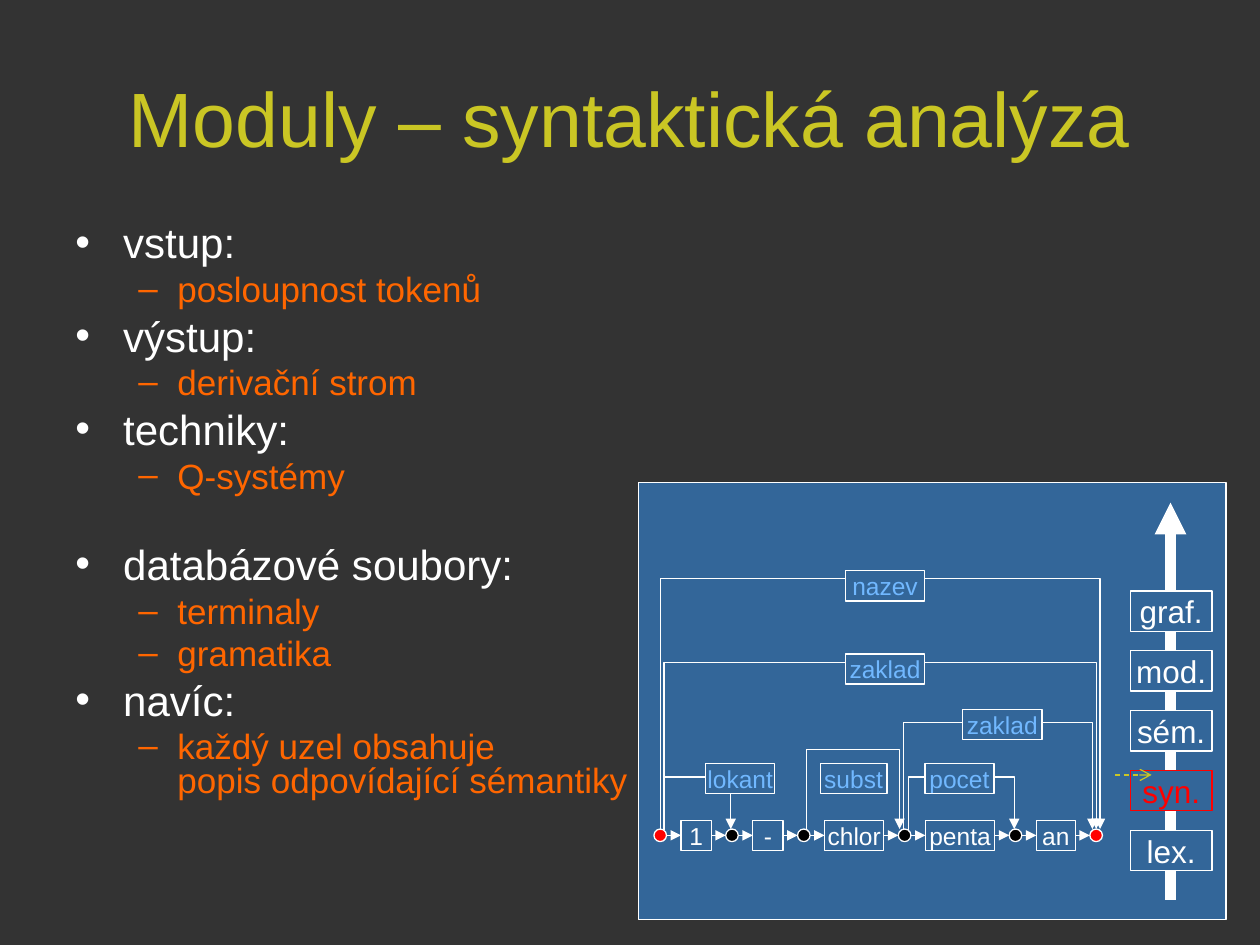
import lxml.etree
import pptx
import pptx.dml.color
import pptx.enum.dml
import pptx.enum.shapes
import pptx.enum.text
import pptx.oxml.ns
import pptx.util

RECT = pptx.enum.shapes.MSO_SHAPE.RECTANGLE
OVAL = pptx.enum.shapes.MSO_SHAPE.OVAL
STRAIGHT = pptx.enum.shapes.MSO_CONNECTOR.STRAIGHT
ELBOW = pptx.enum.shapes.MSO_CONNECTOR.ELBOW
PP_ALIGN = pptx.enum.text.PP_ALIGN
MIDDLE = pptx.enum.text.MSO_ANCHOR.MIDDLE

COLORS = {
    "back": "333333", "title": "CAC624", "panel": "336699", "white": "FFFFFF",
    "orange": "FF6600", "red": "FF0000", "black": "000000", "rule": "71B8FF",
}
LEVELS = {
    0: {"size": 24, "color": "white", "bullet": "•", "left": 0.38, "hang": 0.38, "before": 6},
    1: {"size": 20, "color": "orange", "bullet": "–", "left": 0.81, "hang": 0.31, "before": 5},
}
# level, text, space before where it differs from the level
OUTLINE = [
    (0, "vstup:", None),
    (1, "posloupnost tokenů", None),
    (0, "výstup:", None),
    (1, "derivační strom", None),
    (0, "techniky:", None),
    (1, "Q-systémy", None),
    (0, "databázové soubory:", 30),
    (1, "terminaly", None),
    (1, "gramatika", None),
    (0, "navíc:", None),
    (1, "každý uzel obsahuje\vpopis odpovídající sémantiky", None),
]
# All positions below are columns and rows of a 100 x 75 grid.
STAGES = ["graf.", "mod.", "sém.", "syn.", "lex."]
TOKENS = [("1", 2.4), ("-", 2.4), ("chlor", 4.7), ("penta", 5.5), ("an", 3.1)]
ARCS = [  # left, right, top
    (72.1, 80.5, 61.6), (71.7, 86.7, 57.2), (52.7, 87, 52.4),
    (52.4, 87.3, 45.6), (52.7, 58, 61.6), (64, 71.4, 59.4),
]
RULES = [  # text, left, top, width
    ("pocet", 73.4, 60.6, 5.5), ("zaklad", 76.4, 56.3, 6.3),
    ("zaklad", 67.1, 51.9, 6.3), ("nazev", 67.1, 45.3, 6.3),
    ("lokant", 56, 60.6, 5.5), ("subst", 65.1, 60.6, 5.3),
]
NODE, GAP, TOKEN_H, AXIS = 1, 1.15, 2.4, 66.3
CHAIN_LEFT, ARC_FOOT = 51.9, 65.85


def grid(*cells):
    return [pptx.util.Inches(c / 10) for c in cells]


def rgb(name):
    return pptx.dml.color.RGBColor.from_string(COLORS[name])


def add_xml(parent, tag, **attrs):
    return lxml.etree.SubElement(parent, pptx.oxml.ns.qn(tag), attrs)


def set_attrs(obj, values):
    for name, value in values.items():
        setattr(obj, name, value)


class Deck:
    """Holds the style and the current slide."""

    font = "Arial"
    line_width = 0.75

    def __init__(self):
        self.prs = pptx.Presentation()
        self.prs.slide_width, self.prs.slide_height = grid(100, 75)
        self.s = self.prs.slides.add_slide(self.prs.slide_layouts[5])
        fill = self.s.background.fill
        fill.solid()
        fill.fore_color.rgb = rgb("back")

    def format_runs(self, p, size, color):
        for r in p.runs:
            set_attrs(r.font, {"name": self.font, "size": pptx.util.Pt(size)})
            r.font.color.rgb = rgb(color)

    def stroke(self, sp, color, width):
        sp.line.color.rgb = rgb(color)
        sp.line.width = pptx.util.Pt(width)

    def title(self, text, *box):
        sp = self.s.shapes.title
        set_attrs(sp, dict(zip(("left", "top", "width", "height"), grid(*box))))
        tf = sp.text_frame
        set_attrs(tf, {"text": text, "vertical_anchor": MIDDLE, "word_wrap": True})
        tf.paragraphs[0].alignment = PP_ALIGN.CENTER
        self.format_runs(tf.paragraphs[0], 44, "title")

    def outline(self, items, *box):
        tf = self.s.shapes.add_textbox(*grid(*box)).text_frame
        tf.word_wrap = True
        for i, (level, text, before) in enumerate(items):
            style = LEVELS[level]
            p = tf.add_paragraph() if i else tf.paragraphs[0]
            set_attrs(p, {"text": text, "level": level, "line_spacing": 0.8,
                          "space_before": pptx.util.Pt(before or style["before"])})
            self.format_runs(p, style["size"], style["color"])
            pPr = p._p.get_or_add_pPr()
            pPr.set("marL", str(pptx.util.Inches(style["left"])))
            pPr.set("indent", str(-pptx.util.Inches(style["hang"])))
            add_xml(add_xml(pPr, "a:buClr"), "a:srgbClr", val=COLORS[style["color"]])
            add_xml(pPr, "a:buFont", typeface=self.font)
            add_xml(pPr, "a:buChar", char=style["bullet"])

    def shape(self, kind, *box, fill="panel", line="white"):
        sp = self.s.shapes.add_shape(kind, *grid(*box))
        sp.shadow.inherit = False
        sp.fill.solid()
        sp.fill.fore_color.rgb = rgb(fill)
        self.stroke(sp, line, self.line_width)
        return sp

    def label(self, text, *box, size=14, color="white", line="white"):
        sp = self.shape(RECT, *box, line=line)
        tf = sp.text_frame
        set_attrs(tf, {"text": text, "word_wrap": False, "vertical_anchor": MIDDLE})
        tf.paragraphs[0].alignment = PP_ALIGN.CENTER
        self.format_runs(tf.paragraphs[0], size, color)
        return sp

    def arrow(self, *ends, kind=STRAIGHT, color="white", width=line_width,
              head="triangle", dash=None):
        cx = self.s.shapes.add_connector(kind, *grid(*ends))
        self.stroke(cx, color, width)
        if dash:
            cx.line.dash_style = dash
        add_xml(cx.line._get_or_add_ln(), "a:tailEnd", type=head)
        add_xml(cx._element.spPr, "a:effectLst")
        return cx

    def arc(self, left, right, top):
        """Elbow arrow that rises from left to top and drops at right."""
        mid, half, thin = (left + right) / 2, (right - left) / 2, 0.1
        cx = self.arrow(mid + thin / 2, ARC_FOOT + half,
                        mid - thin / 2, ARC_FOOT - half, kind=ELBOW)
        spPr = cx._element.spPr
        spPr.find(pptx.oxml.ns.qn("a:xfrm")).set("rot", str(90 * 60000))
        geom = spPr.find(pptx.oxml.ns.qn("a:prstGeom"))
        guides = geom.find(pptx.oxml.ns.qn("a:avLst"))
        if guides is None:
            guides = add_xml(geom, "a:avLst")
        rise = round((ARC_FOOT + thin / 2 - top) / thin * 100000)
        add_xml(guides, "a:gd", name="adj1", fmla=f"val {rise}")

    def node(self, left, color):
        self.shape(OVAL, left, AXIS - NODE / 2, NODE, NODE, fill=color)

    def token_chain(self):
        x = CHAIN_LEFT
        self.node(x, "red")
        for i, (text, width) in enumerate(TOKENS, 1):
            left = x + NODE + GAP
            right = left + width
            sp = self.label(text, left, AXIS - TOKEN_H / 2, width, TOKEN_H)
            self.arrow(x + NODE, AXIS, left, AXIS).end_connect(sp, 1)
            x = right + GAP
            self.node(x, "red" if i == len(TOKENS) else "black")
            self.arrow(right, AXIS, x, AXIS).begin_connect(sp, 3)


def main():
    deck = Deck()
    deck.title("Moduly – syntaktická analýza", 5, 3, 90, 12.5)
    deck.outline(OUTLINE, 5, 17.5, 90.7, 49.5)
    deck.shape(RECT, 50.7, 38.3, 46.6, 34.7)

    deck.arrow(92.9, 71.4, 92.9, 39.9, width=6)
    for i, text in enumerate(STAGES):
        active = text == "syn."
        deck.label(text, 89.7, 46.9 + 4.75 * i, 6.5, 3.2, size=18,
                   color="red" if active else "white", line="red" if active else "white")
    deck.arrow(88.5, 61.5, 91.4, 61.5, color="title", head="arrow",
               dash=pptx.enum.dml.MSO_LINE.DASH)

    deck.token_chain()
    for arc in ARCS:
        deck.arc(*arc)
    for text, left, top, width in RULES:
        deck.label(text, left, top, width, TOKEN_H, color="rule")
    deck.prs.save("out.pptx")


if __name__ == "__main__":
    main()
